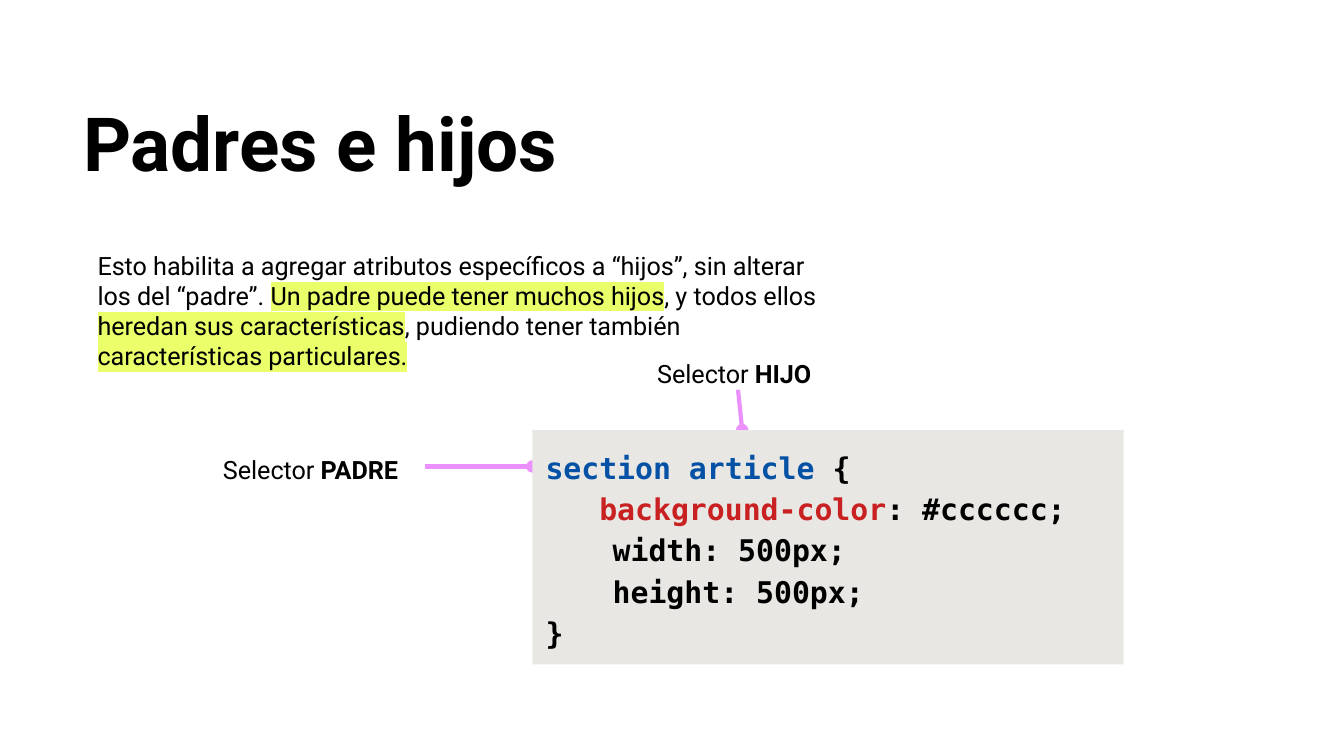
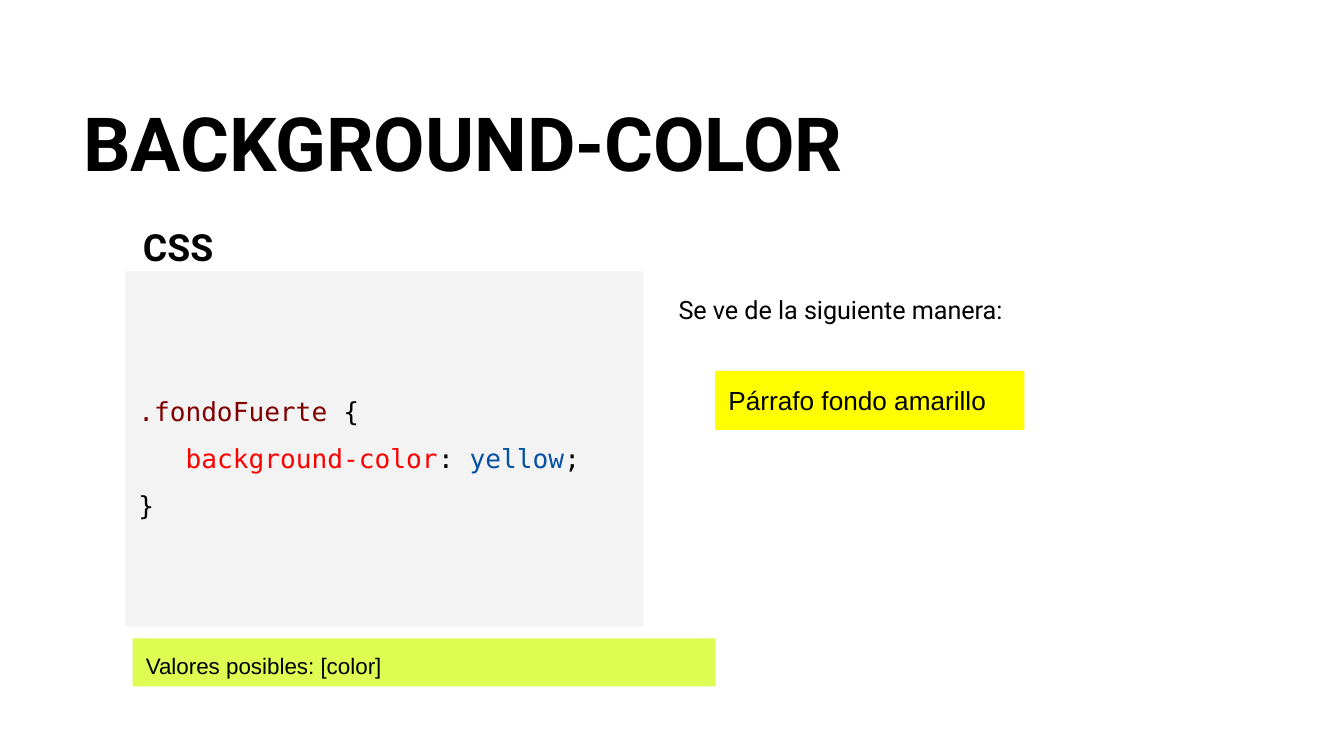
from dataclasses import dataclass

from lxml import etree
from pptx import Presentation
from pptx import util as u
from pptx.dml.color import RGBColor
from pptx.enum import shapes, text
from pptx.oxml.ns import qn


@dataclass(frozen=True)
class Theme:
    # Fonts
    sans: str = "Roboto"
    plain: str = "Arial"
    mono: str = "DejaVu Sans Mono"
    # Type sizes
    title: float = 40
    heading: float = 20
    body: float = 13.5
    rule_code: float = 16
    code: float = 14
    note: float = 12
    # Colours
    ink: str = "000000"
    marker: str = "EAFF6A"
    arrow: str = "EA90FF"
    blue: str = "0451A5"
    red: str = "C92121"
    bright_red: str = "FF0000"
    maroon: str = "800000"
    warm_panel: str = "E8E7E3"
    grey_panel: str = "F3F3F3"
    lime: str = "DEFC52"
    yellow: str = "FFFF00"
    # Spacing
    inset: float = 7.2
    line: float = 2.25


T = Theme()
TOP, MIDDLE, BOTTOM = (text.MSO_ANCHOR.TOP, text.MSO_ANCHOR.MIDDLE,
                       text.MSO_ANCHOR.BOTTOM)


def rgb(value):
    return RGBColor.from_string(value)


def run(words, color=T.ink, bold=False, mark=None):
    return words, color, bold, mark


def add_text(s, box, lines, size, font=T.sans, fill=None, spacing=None,
             anchor=TOP, top=T.inset):
    """Text box, or filled panel, whose lines are lists of runs."""
    area = [u.Pt(v) for v in box]
    if fill:
        sp = s.shapes.add_shape(shapes.MSO_SHAPE.RECTANGLE, *area)
        sp.shadow.inherit = False
        sp.fill.solid()
        sp.fill.fore_color.rgb = rgb(fill)
        sp.line.fill.background()
    else:
        sp = s.shapes.add_textbox(*area)
    tf = sp.text_frame
    tf.word_wrap = True
    tf.vertical_anchor = anchor
    tf.margin_left = tf.margin_right = tf.margin_bottom = u.Pt(T.inset)
    tf.margin_top = u.Pt(top)
    for i, line in enumerate(lines):
        p = tf.add_paragraph() if i else tf.paragraphs[0]
        p.alignment = text.PP_ALIGN.LEFT
        if spacing:
            p.line_spacing = spacing
        for words, color, bold, mark in line:
            r = p.add_run()
            r.text = words
            r.font.size = u.Pt(size)
            r.font.name = font
            r.font.bold = bold
            r.font.color.rgb = rgb(color)
            if mark:
                highlight(r, mark)
    return sp


def highlight(r, color):
    hl = etree.Element(qn("a:highlight"))
    etree.SubElement(hl, qn("a:srgbClr"), val=color)
    r.font._element.find(qn("a:solidFill")).addnext(hl)


def add_pointer(s, start, end):
    """Line with a round end."""
    c = s.shapes.add_connector(shapes.MSO_CONNECTOR.STRAIGHT,
                               *(u.Pt(v) for v in (*start, *end)))
    c.line.color.rgb = rgb(T.arrow)
    c.line.width = u.Pt(T.line)
    etree.SubElement(c.line._get_or_add_ln(), qn("a:tailEnd"), type="oval")
    etree.SubElement(c._element.spPr, qn("a:effectLst"))
    return c


def new_slide(prs, title):
    s = prs.slides.add_slide(prs.slide_layouts[6])
    add_text(s, (37.5, 49, 641, 58.5), [[run(title, bold=True)]], T.title,
             spacing=0.9, anchor=BOTTOM)
    return s


def selector_label(s, box, role):
    return add_text(s, box, [[run("Selector "), run(role, bold=True)]], T.body)


def selector_diagram(s, box):
    """CSS rule with its two selectors pointed out."""
    x, y, w, h = box
    # Labels and pointers, below the panel in the stack
    parent = selector_label(s, (x - 172.8, y + 5.8, 115.2, 27.4), "PADRE")
    selector_label(s, (x + 59.8, y - 45.4, 154, 31.7), "HIJO")
    row = y + 19.5
    add_pointer(s, (x - 57.6, row), (x, row)).begin_connect(parent, 3)
    add_pointer(s, (x + 110.2, y - 21.6), (x + 112.4, y))
    # Code panel
    add_text(s, box, [
        [run("section article ", T.blue, True), run("{", bold=True)],
        [run("   ", bold=True), run("background-color", T.red, True),
         run(": #cccccc;", bold=True)],
        [run("\twidth: 500px;", bold=True)],
        [run("\theight: 500px;", bold=True)],
        [run("}", bold=True)],
    ], T.rule_code, T.mono, T.warm_panel, 1.15, MIDDLE)


def css_panel(s, box):
    """Code panel with its heading."""
    x, y, _, _ = box
    add_text(s, box, [
        [run(".fondoFuerte", T.maroon), run(" {")],
        [run("   "), run("background-color", T.bright_red), run(": "),
         run("yellow", T.blue), run(";")],
        [run("}")],
    ], T.code, T.mono, T.grey_panel, 1.5, top=58)
    add_text(s, (x + 2.5, y - 32.4, 89.3, 35.3), [[run("CSS", bold=True)]],
             T.heading)


def result_sample(s, box):
    """Caption and the rendered paragraph below it."""
    x, y, w, _ = box
    add_text(s, (x, y, w, 31), [[run("Se ve de la siguiente manera:")]], T.body)
    add_text(s, (x + 26.8, y + 48.2, 165.6, 31.7),
             [[run("Párrafo fondo amarillo", mark=T.yellow)]],
             T.code, T.plain, T.yellow)


def parents_slide(prs):
    s = new_slide(prs, "Padres e hijos")
    add_text(s, (45.2, 126.7, 404, 80), [[
        run("Esto habilita a agregar atributos específicos a “hijos”, "
            "sin alterar los del “padre”. "),
        run("Un padre puede tener muchos hijos", mark=T.marker),
        run(", y todos ellos "),
        run("heredan sus características", mark=T.marker),
        run(", pudiendo tener también "),
        run("características particulares.", mark=T.marker),
    ]], T.body)
    selector_diagram(s, (285.2, 230.4, 316.8, 125.6))


def background_slide(prs):
    s = new_slide(prs, "BACKGROUND-COLOR")
    result_sample(s, (356.4, 150.5, 301.7, 80))
    css_panel(s, (67, 145.4, 277.7, 190.2))
    add_text(s, (71, 342, 312.4, 25.8), [[run("Valores posibles: [color]")]],
             T.note, T.plain, T.lime)


def main():
    prs = Presentation()
    prs.slide_width, prs.slide_height = u.Pt(720), u.Pt(405)
    parents_slide(prs)
    background_slide(prs)
    prs.save("out.pptx")


if __name__ == "__main__":
    main()
